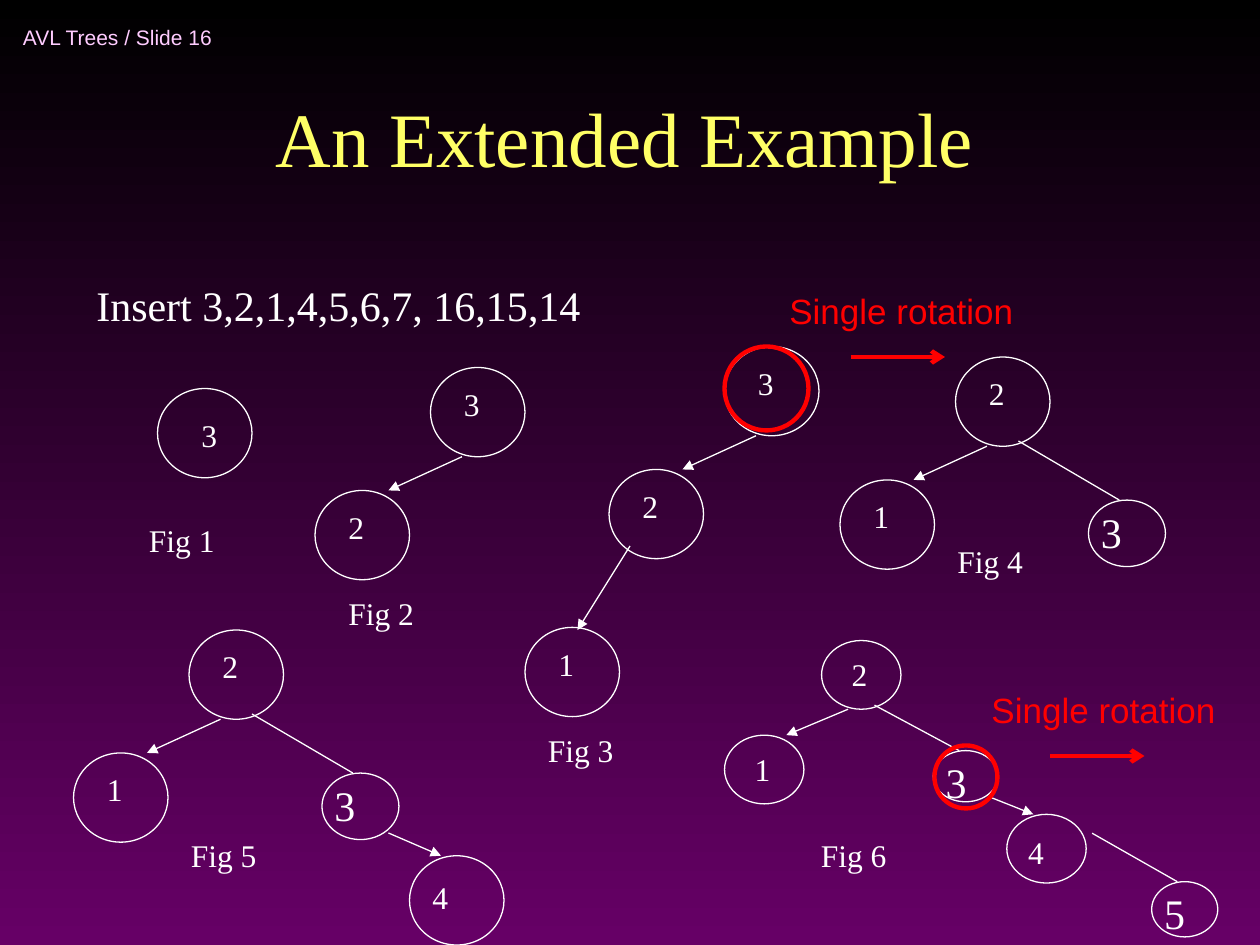
import dataclasses

import lxml.etree
import pptx
import pptx.dml.color
import pptx.enum.shapes
import pptx.enum.text
import pptx.oxml.ns
import pptx.util

Pt = pptx.util.Pt
ALIGN = pptx.enum.text.PP_ALIGN
ANCHOR = pptx.enum.text.MSO_ANCHOR
WHITE = "FFFFFF"
RED = "FF0000"
SERIF = "Times New Roman"
SANS = "Arial"

# Node sizes and label offsets, before scaling
LARGE = (54, 51)
SMALL = (44, 38)
LABEL_OFFSET = (12, 6.25)


@dataclasses.dataclass
class Tree:
    """A figure's shapes, with its origin at the top left of the root."""
    shapes: object
    left: float
    top: float
    scale_x: float = 1
    scale_y: float = 1

    def place(self, x, y):
        return self.left + x * self.scale_x, self.top + y * self.scale_y


def color(value):
    return pptx.dml.color.RGBColor.from_string(value)


def add_text(shapes, left, top, width, height, text, size=18, font=SERIF,
             fill=WHITE, align=ALIGN.LEFT, anchor=ANCHOR.TOP):
    box = shapes.add_textbox(Pt(left), Pt(top), Pt(width), Pt(height))
    frame = box.text_frame
    frame.word_wrap = True
    frame.vertical_anchor = anchor
    para = frame.paragraphs[0]
    para.alignment = align
    span = para.add_run()
    span.text = text
    span.font.size = Pt(size)
    span.font.name = font
    span.font.color.rgb = color(fill)


def add_circle(shapes, left, top, width, height, line=WHITE, weight=0.75):
    circle = shapes.add_shape(pptx.enum.shapes.MSO_SHAPE.OVAL,
                              Pt(left), Pt(top), Pt(width), Pt(height))
    circle.shadow.inherit = False
    circle.fill.background()
    circle.line.color.rgb = color(line)
    circle.line.width = Pt(weight)


def add_line(shapes, start, end, head=None, line=WHITE, weight=0.75):
    connector = shapes.add_connector(
        pptx.enum.shapes.MSO_CONNECTOR.STRAIGHT,
        *(Pt(value) for value in (*start, *end)))
    connector.line.color.rgb = color(line)
    connector.line.width = Pt(weight)
    qn = pptx.oxml.ns.qn
    if head:
        outline = connector.line._get_or_add_ln()
        lxml.etree.SubElement(outline, qn("a:tailEnd"), type=head)
    lxml.etree.SubElement(connector._element.spPr, qn("a:effectLst"))


def add_node(tree, x, y, label, size=LARGE, offset=LABEL_OFFSET, font_size=18):
    left, top = tree.place(x, y)
    width, height = size[0] * tree.scale_x, size[1] * tree.scale_y
    add_circle(tree.shapes, left, top, width, height)
    text_left, text_top = tree.place(x + offset[0], y + offset[1])
    add_text(tree.shapes, text_left, text_top, width, 29, label, font_size)


def add_small_node(tree, x, y, label, size=SMALL):
    add_node(tree, x, y, label, size, (0, 0), 24)


def add_edge(tree, start, end, head=None):
    add_line(tree.shapes, tree.place(*start), tree.place(*end), head)


def add_caption(tree, left, top, number):
    add_text(tree.shapes, left, top, 90, 29, f"Fig {number}")


def add_left_pair(tree, root, child):
    add_node(tree, 0, 0, root)
    add_node(tree, -66, 70.25, child)
    add_edge(tree, (18, 51), (-24, 70.25), "triangle")


def add_balanced(tree):
    add_left_pair(tree, "2", "1")
    add_small_node(tree, 76, 81.75, "3")
    add_edge(tree, (36, 48), (93.6, 81.75))


def add_balanced_with_four(tree):
    add_balanced(tree)
    add_edge(tree, (114, 116), (144, 129), "triangle")
    add_node(tree, 126, 129, "4", offset=(6, 9))


def add_rotation(page, text_left, text_top, arrow_left, arrow_top):
    add_text(page.shapes, text_left, text_top, 150, 32, "Single rotation",
             20, SANS, RED)
    add_line(page.shapes, (arrow_left, arrow_top), (arrow_left + 54, arrow_top),
             "arrow", RED, 2.5)


def set_background(page):
    fill = page.background.fill
    fill.gradient()
    fill.gradient_angle = 270
    for stop, position, value in zip(fill.gradient_stops, (0, 1),
                                     ("000000", "660066")):
        stop.position = position
        stop.color.rgb = color(value)


def main():
    deck = pptx.Presentation()
    deck.slide_width, deck.slide_height = Pt(720), Pt(540)
    page = deck.slides.add_slide(deck.slide_layouts[6])
    set_background(page)

    def new_tree(*frame):
        return Tree(page.shapes.add_group_shape().shapes, *frame)

    # Header, title and task
    add_text(page.shapes, 6, 6, 198, 30, "AVL Trees / Slide 16", 12, SANS,
             "FFCCFF", anchor=ANCHOR.MIDDLE)
    add_text(page.shapes, 48, 18, 618, 90, "An Extended Example", 44,
             fill="FFFF66", align=ALIGN.CENTER, anchor=ANCHOR.BOTTOM)
    add_text(page.shapes, 48, 156, 510, 36, "Insert 3,2,1,4,5,6,7, 16,15,14", 24)

    # Fig 1: single node
    tree = new_tree(90, 222)
    add_node(tree, 0, 0, "3", offset=(18, 12))
    add_caption(tree, 78, 294, 1)

    # Fig 2: insert 2
    tree = new_tree(246, 210)
    add_left_pair(tree, "3", "2")
    add_caption(tree, 192, 336, 2)

    # Fig 3: insert 1, unbalanced at 3
    tree = new_tree(414, 198)
    add_left_pair(tree, "3", "2")
    add_node(tree, -114, 160.5, "1")
    add_edge(tree, (-54, 114), (-84, 162), "triangle")
    add_caption(tree, 306, 414, 3)

    # Fig 4: after rotation
    tree = new_tree(546, 204)
    add_balanced(tree)
    add_caption(tree, 540, 306, 4)

    # Fig 5: insert 4
    tree = new_tree(108, 360)
    add_balanced_with_four(tree)
    add_caption(tree, 102, 474, 5)

    # Fig 6: insert 5, unbalanced at 3
    tree = new_tree(469.5, 366, 0.84, 0.77)
    add_balanced_with_four(tree)
    add_small_node(tree, 224.5, 179, "5", (45, 41))
    add_edge(tree, (184, 143), (242, 179))
    add_caption(tree, 462, 474, 6)

    # Rotations and the nodes they start from
    add_rotation(page, 444, 162, 486, 204)
    add_rotation(page, 559.5, 390, 600, 432)
    add_circle(page.shapes, 414, 198, 48, 48, RED, 2.5)
    add_circle(page.shapes, 534, 426, 36, 36, RED, 2.5)

    deck.save("out.pptx")


if __name__ == "__main__":
    main()
